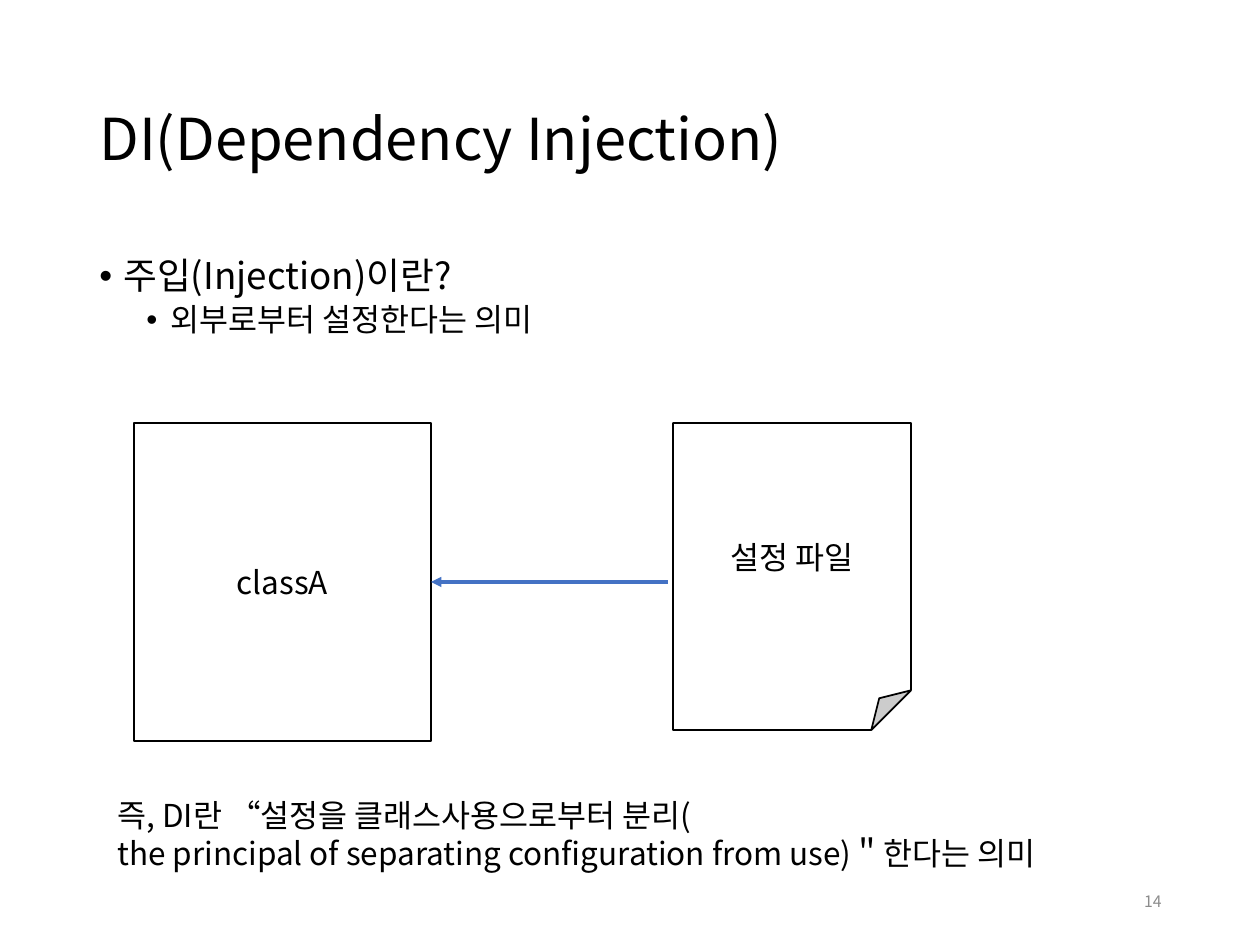
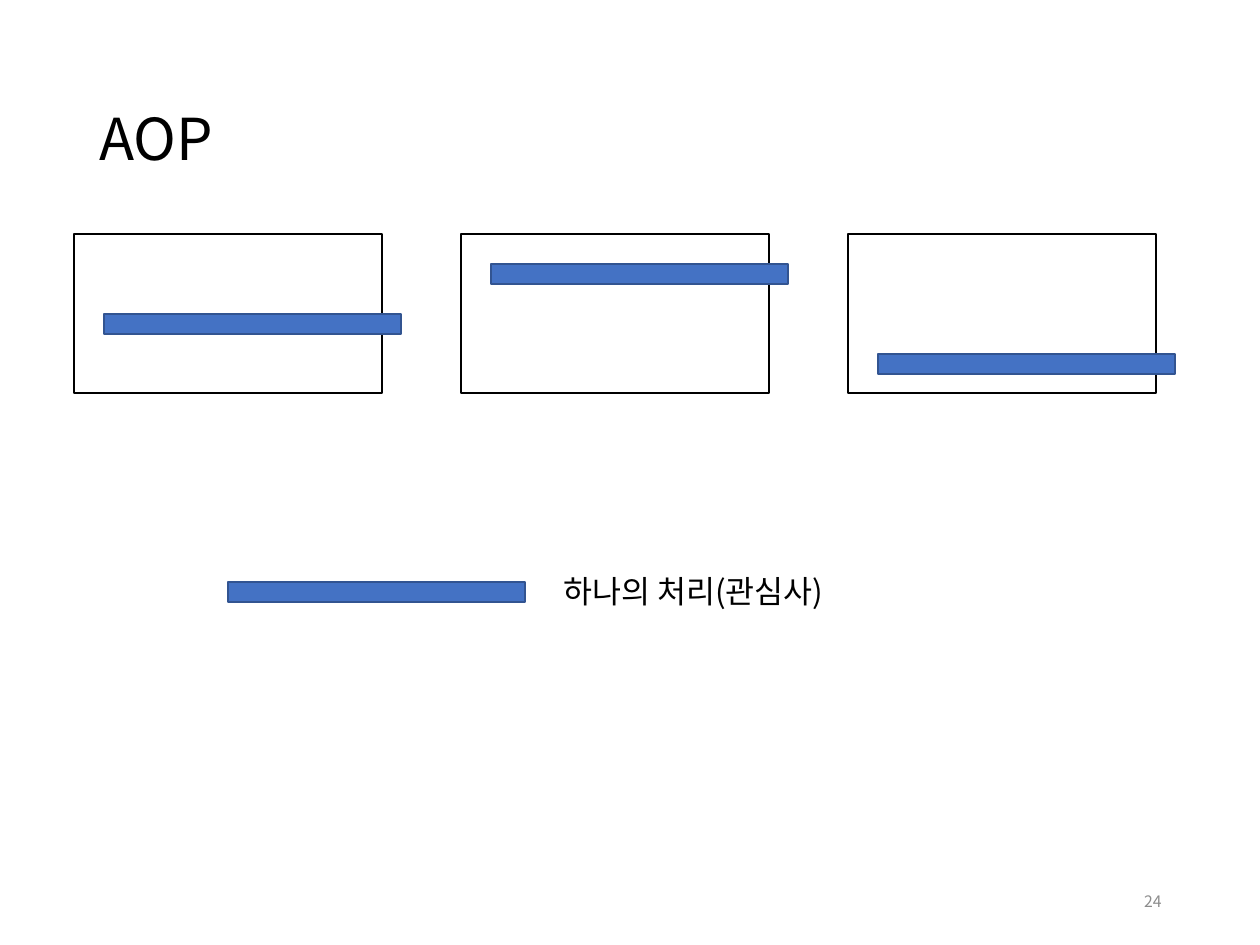
from dataclasses import dataclass
from typing import NamedTuple

from lxml.etree import SubElement
from pptx import Presentation
from pptx.dml.color import RGBColor
from pptx.enum.shapes import MSO_CONNECTOR as Link, MSO_SHAPE as Shape
from pptx.enum.text import MSO_ANCHOR as Anchor, MSO_AUTO_SIZE as AutoSize, PP_ALIGN as Align
from pptx.oxml.ns import qn
from pptx.util import Emu, Pt

PX_PER_INCH = 126
FONT = "Noto Sans CJK KR"
COLORS = {
    "text": "000000",
    "paper": "FFFFFF",
    "accent": "4472C4",
    "accent_edge": "325491",
    "page_number": "8C8C8C",
}


class Box(NamedTuple):
    left: int
    top: int
    width: int
    height: int


@dataclass
class Para:
    text: str
    size: float = 18
    color: str = "text"
    align: Align = Align.LEFT
    spacing: float = 1.0
    before: float = 0
    level: int = 0
    margin: int = 0  # left margin of a bulleted paragraph, 0 for no bullet


@dataclass
class Figure:
    box: Box
    label: str = ""
    kind: Shape = Shape.RECTANGLE
    fill: str = "paper"
    edge: str = "text"


TITLE_BOX = Box(87, 50, 1086, 183)
NUMBER_BOX = Box(890, 876, 284, 50)
BULLET_HANG = 24
BAR_WIDTH, BAR_HEIGHT = 297, 20


def px(length: float) -> Emu:
    return Emu(round(length * 914400 / PX_PER_INCH))


def rgb(name: str) -> RGBColor:
    return RGBColor.from_string(COLORS[name])


def write(frame, paras: list[Para]) -> None:
    for index, para in enumerate(paras):
        line = frame.paragraphs[0] if index == 0 else frame.add_paragraph()
        line.alignment = para.align
        line.level = para.level
        line.line_spacing = para.spacing
        line.space_before = Pt(para.before)
        if para.margin:
            props = line._p.get_or_add_pPr()
            props.set("marL", str(px(para.margin)))
            props.set("indent", str(-px(BULLET_HANG)))
            SubElement(props, qn("a:buFont"), typeface="Arial")
            SubElement(props, qn("a:buChar"), char="•")
        run = line.add_run()
        run.text = para.text
        run.font.size = Pt(para.size)
        run.font.color.rgb = rgb(para.color)
        run.font.name = FONT
        SubElement(run._r.get_or_add_rPr(), qn("a:ea"), typeface=FONT)


def add_text(slide, box: Box, paras: list[Para], anchor: Anchor = Anchor.TOP,
             wrap: bool = True) -> None:
    frame = slide.shapes.add_textbox(*map(px, box)).text_frame
    frame.word_wrap = wrap
    frame.auto_size = AutoSize.NONE if wrap else AutoSize.SHAPE_TO_FIT_TEXT
    frame.vertical_anchor = anchor
    write(frame, paras)


def add_figure(slide, figure: Figure):
    shape = slide.shapes.add_shape(figure.kind, *map(px, figure.box))
    shape.shadow.inherit = False
    shape.fill.solid()
    shape.fill.fore_color.rgb = rgb(figure.fill)
    shape.line.color.rgb = rgb(figure.edge)
    shape.line.width = Pt(1)
    if figure.label:
        shape.text_frame.vertical_anchor = Anchor.MIDDLE
        write(shape.text_frame, [Para(figure.label, align=Align.CENTER)])
    return shape


def add_arrow(slide, start_x: int, y: int, target, side: int) -> None:
    arrow = slide.shapes.add_connector(Link.STRAIGHT, px(start_x), px(y), px(start_x), px(y))
    arrow.end_connect(target, side)
    arrow.line.color.rgb = rgb("accent")
    arrow.line.width = Pt(1.75)
    SubElement(arrow.line._get_or_add_ln(), qn("a:tailEnd"), type="triangle")
    SubElement(arrow._element.spPr, qn("a:effectLst"))


def add_bar(slide, left: int, top: int) -> None:
    add_figure(slide, Figure(Box(left, top, BAR_WIDTH, BAR_HEIGHT),
                             fill="accent", edge="accent_edge"))


def new_slide(deck, title: str, number: int):
    slide = deck.slides.add_slide(deck.slide_layouts[6])
    add_text(slide, TITLE_BOX, [Para(title, 33, spacing=0.9)], Anchor.MIDDLE)
    add_text(slide, NUMBER_BOX, [Para(str(number), 9, "page_number", Align.RIGHT)],
             Anchor.MIDDLE)
    return slide


def build_injection(deck) -> None:
    slide = new_slide(deck, "DI(Dependency Injection)", 14)
    add_text(slide, Box(87, 252, 1086, 600), [
        Para("주입(Injection)이란?", 21, spacing=0.9, before=7.5, margin=24),
        Para("외부로부터 설정한다는 의미", spacing=0.9, before=3.8, level=1, margin=71),
    ])

    # Settings file injected into the class
    class_a = add_figure(slide, Figure(Box(134, 423, 297, 318), "classA"))
    add_arrow(slide, 668, 582, class_a, 3)
    add_figure(slide, Figure(Box(673, 423, 238, 307), "설정 파일", Shape.FOLDED_CORNER))

    # Conclusion
    add_text(slide, Box(105, 790, 960, 89), [
        Para("즉, DI란 “설정을 클래스사용으로부터 분리("),
        Para("the principal of separating configuration from use)＂한다는 의미"),
    ], wrap=False)


def build_aop(deck) -> None:
    slide = new_slide(deck, "AOP", 24)

    # Modules, each crossed by the same concern at its own height
    module_left, module_step, concern_inset = 74, 387, 30
    concern_tops = (314, 264, 354)
    lefts = [module_left + i * module_step for i in range(len(concern_tops))]
    for left in lefts:
        add_figure(slide, Figure(Box(left, 234, 308, 159)))
    for left, top in zip(lefts, concern_tops):
        add_bar(slide, left + concern_inset, top)

    # Legend
    add_bar(slide, 228, 582)
    add_text(slide, Box(551, 566, 311, 50), [Para("하나의 처리(관심사)")], wrap=False)


def main() -> None:
    deck = Presentation()
    deck.slide_width, deck.slide_height = px(1260), px(945)
    build_injection(deck)
    build_aop(deck)
    deck.save("out.pptx")


if __name__ == "__main__":
    main()
